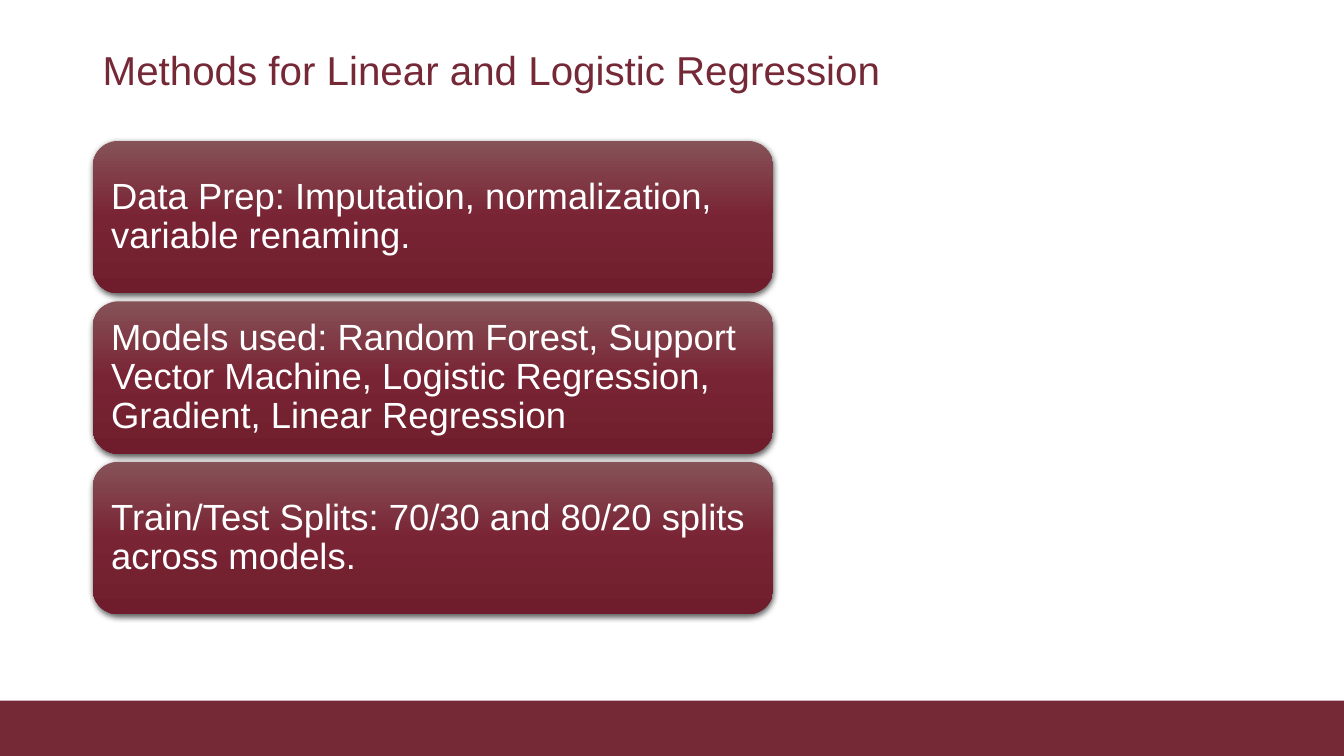
import copy

import lxml.etree
import pptx
import pptx.dml.color
import pptx.enum.shapes
import pptx.enum.text
import pptx.oxml.ns
import pptx.util

Pt = pptx.util.Pt
SHAPE = pptx.enum.shapes.MSO_SHAPE
ANCHOR = pptx.enum.text.MSO_ANCHOR
qn = pptx.oxml.ns.qn

MAROON = "752836"
CARD_GRADIENT = [(0, "865258"), (0.5, "792434"), (1, "6F1D2C")]


def rgb(color):
    return pptx.dml.color.RGBColor.from_string(color)


def write(shape, text, size, color, frame_format):
    frame = shape.text_frame
    for name, value in frame_format.items():
        setattr(frame, name, value)
    paragraph = frame.paragraphs[0]
    paragraph.text = text
    paragraph.alignment = pptx.enum.text.PP_ALIGN.LEFT
    paragraph.line_spacing = 0.9
    font = paragraph.runs[0].font
    font.name, font.size, font.color.rgb = "Arial", Pt(size), rgb(color)
    return paragraph


presentation = pptx.Presentation()
presentation.slide_width, presentation.slide_height = Pt(960), Pt(540)
slide = presentation.slides.add_slide(presentation.slide_layouts[6])

# Footer band
footer = slide.shapes.add_shape(SHAPE.RECTANGLE, Pt(0), Pt(500.4), Pt(960), Pt(39.6))
footer.shadow.inherit = False
footer.fill.solid()
footer.fill.fore_color.rgb = rgb(MAROON)
footer.line.fill.background()

# Title
title = slide.shapes.add_textbox(Pt(66.3), Pt(12.2), Pt(590), Pt(59))
write(title, "Methods for Linear and Logistic Regression", 28.8, MAROON,
      {"word_wrap": True, "vertical_anchor": ANCHOR.BOTTOM})

# Method cards
methods = [
    "Data Prep: Imputation, normalization, variable renaming.",
    "Models used: Random Forest, Support Vector Machine, "
    "Logistic Regression, Gradient, Linear Regression",
    "Train/Test Splits: 70/30 and 80/20 splits across models.",
]
card_format = {"word_wrap": True, "vertical_anchor": ANCHOR.MIDDLE}
for side in ("left", "right", "top", "bottom"):
    card_format["margin_" + side] = Pt(7.8)

for row, method in enumerate(methods):
    card = slide.shapes.add_shape(SHAPE.ROUNDED_RECTANGLE, Pt(66.3),
                                  Pt(100.7 + row * 114.6), Pt(486), Pt(108.8))
    card.line.fill.background()
    write(card, method, 26, "FFFFFF", card_format).space_after = Pt(9.1)

    # Three-stop gradient running downwards
    card.fill.gradient()
    card.fill.gradient_angle = 270
    stop_list = card._element.spPr.find(".//" + qn("a:gsLst"))
    stop_list.append(copy.deepcopy(stop_list[0]))
    for stop, (position, color) in zip(card.fill.gradient_stops, CARD_GRADIENT):
        stop.position = position
        stop.color.rgb = rgb(color)

    # Soft shadow below the card
    card.shadow.inherit = False
    effects = card._element.spPr.find(qn("a:effectLst"))
    shadow = lxml.etree.SubElement(effects, qn("a:outerShdw"), blurRad=str(Pt(4.5)),
                                   dist=str(Pt(1.5)), dir="5400000", algn="ctr",
                                   rotWithShape="0")
    shadow_color = lxml.etree.SubElement(shadow, qn("a:srgbClr"), val="000000")
    lxml.etree.SubElement(shadow_color, qn("a:alpha"), val="63000")

presentation.save("out.pptx")
